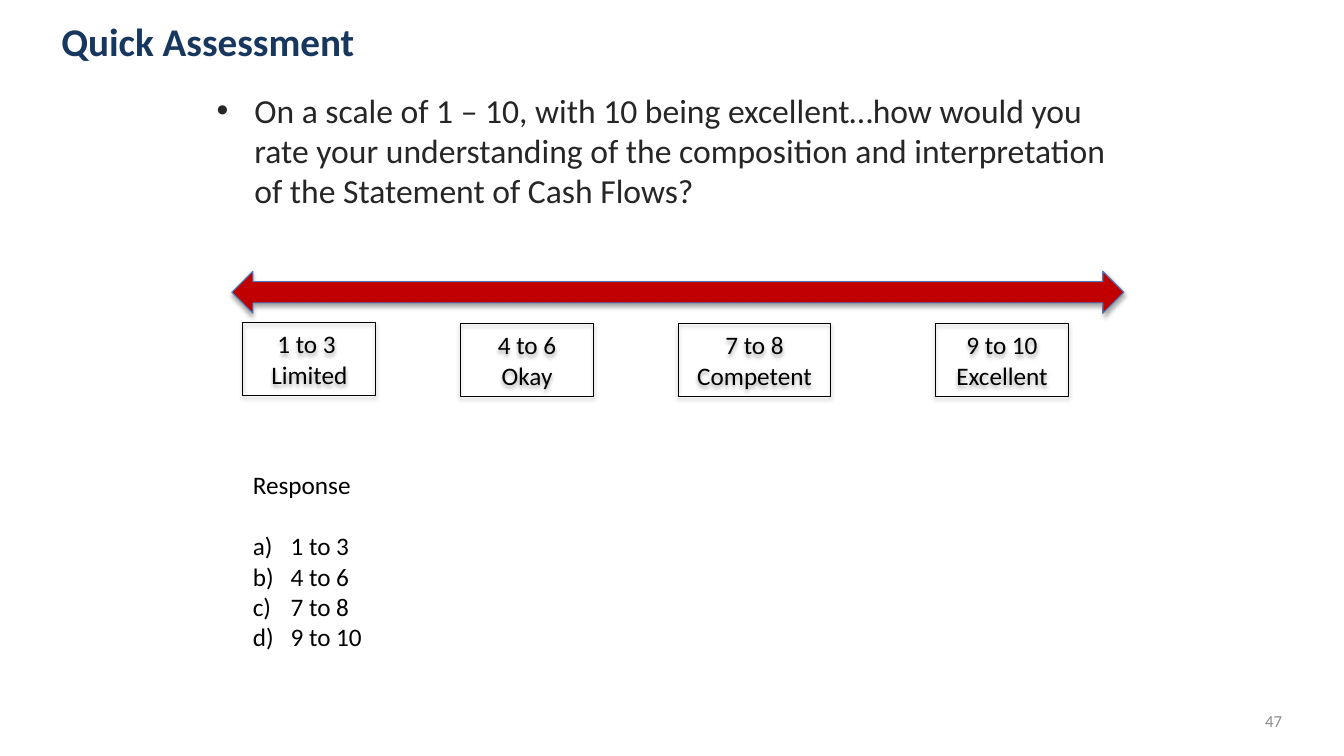
"""Build the Quick Assessment slide with its rating scale and answer list."""
from dataclasses import dataclass

from lxml.etree import SubElement as Sub
from pptx import Presentation
from pptx.dml.color import RGBColor
from pptx.enum.shapes import MSO_SHAPE as Kind
from pptx.enum.text import MSO_ANCHOR as Anchor, PP_ALIGN as Align
from pptx.oxml.ns import qn
from pptx.shapes.autoshape import Shape
from pptx.slide import Slide
from pptx.text.text import _Paragraph as Para
from pptx.util import Pt

NAVY = RGBColor(0x17, 0x37, 0x5E)
DARK = RGBColor(0x26, 0x26, 0x26)
GRAY = RGBColor(0x8C, 0x8C, 0x8C)
RED = RGBColor(0xC0, 0x00, 0x00)
BLUE = RGBColor(0x4B, 0x7E, 0xBC)
BLACK = RGBColor(0x00, 0x00, 0x00)
INDENT = 27


@dataclass
class Box:
    left: float
    top: float
    width: float
    height: float

    def frame(self) -> list[Pt]:
        return [Pt(n) for n in (self.left, self.top, self.width, self.height)]


@dataclass
class Style:
    size: float
    color: RGBColor
    bold: bool = False
    align: Align = Align.LEFT
    anchor: Anchor = Anchor.TOP


@dataclass
class Label:
    text: str
    box: Box


TITLE = Style(28, NAVY, bold=True, anchor=Anchor.MIDDLE)
BODY = Style(24, DARK)
PAGE = Style(12, GRAY, align=Align.RIGHT, anchor=Anchor.MIDDLE)
RATING = Style(18, BLACK, align=Align.CENTER, anchor=Anchor.MIDDLE)
ANSWER = Style(18, BLACK)

LABELS = [
    Label("1 to 3 \nLimited", Box(173.5, 230.4, 95, 51.8)),
    Label("4 to 6\nOkay", Box(329, 231.1, 95, 51.8)),
    Label("7 to 8\nCompetent", Box(484.6, 231.1, 108.7, 51.8)),
    Label("9 to 10 Excellent", Box(668.2, 231.1, 95, 51.8)),
]


def write(shape: Shape, text: str, style: Style) -> None:
    frame = shape.text_frame
    frame.word_wrap = True
    frame.vertical_anchor = style.anchor
    frame.text = text
    for para in frame.paragraphs:
        para.alignment = style.align
        for run in para.runs:
            run.font.name = "Calibri"
            run.font.size = Pt(style.size)
            run.font.bold = style.bold
            run.font.color.rgb = style.color


def add_text(slide: Slide, box: Box, text: str, style: Style) -> Shape:
    shape = slide.shapes.add_textbox(*box.frame())
    write(shape, text, style)
    return shape


def add_mark(para: Para, tag: str, **attrs: str) -> None:
    props = para._p.get_or_add_pPr()
    props.set("marL", str(Pt(INDENT)))
    props.set("indent", str(-Pt(INDENT)))
    if tag == "a:buChar":
        Sub(props, qn("a:buFont"), typeface="Arial")
    Sub(props, qn(tag), **attrs)


def add_shade(shape: Shape) -> None:
    shape.shadow.inherit = False
    effects = shape._element.spPr.find(qn("a:effectLst"))
    shade = Sub(effects, qn("a:outerShdw"), blurRad=str(Pt(3.1)),
                dist=str(Pt(1.8)), dir="5400000", rotWithShape="0")
    color = Sub(shade, qn("a:srgbClr"), val=str(BLACK))
    Sub(color, qn("a:alpha"), val="35000")


def add_shape(slide: Slide, kind: Kind, box: Box, line: RGBColor) -> Shape:
    shape = slide.shapes.add_shape(kind, *box.frame())
    shape.fill.background()
    shape.line.color.rgb = line
    shape.line.width = Pt(0.75)
    add_shade(shape)
    return shape


def main() -> None:
    deck = Presentation()
    deck.slide_width, deck.slide_height = Pt(960), Pt(540)
    slide = deck.slides.add_slide(deck.slide_layouts[6])

    body = add_text(
        slide, Box(147.6, 60.5, 665.3, 260),
        "On a scale of 1 – 10, with 10 being excellent…how would you rate "
        "your understanding of the composition and interpretation of the "
        "Statement of Cash Flows?", BODY)
    add_mark(body.text_frame.paragraphs[0], "a:buChar", char="•")
    add_text(slide, Box(36.7, 3.6, 787.7, 51.1), "Quick Assessment", TITLE)
    add_text(slide, Box(707, 500.4, 216, 28.8), "47", PAGE)

    arrow = add_shape(slide, Kind.LEFT_RIGHT_ARROW,
                      Box(165.6, 193.7, 637.2, 30.2), BLUE)
    arrow.fill.solid()
    arrow.fill.fore_color.rgb = RED
    for label in LABELS:
        shape = add_shape(slide, Kind.RECTANGLE, label.box, BLACK)
        write(shape, label.text, RATING)

    reply = add_text(slide, Box(173.5, 331.9, 409, 138.2),
                     "Response\n1 to 3\n4 to 6\n7 to 8\n9 to 10", ANSWER)
    items = reply.text_frame.paragraphs[1:]
    items[0].space_before = Pt(22)
    for item in items:
        add_mark(item, "a:buAutoNum", type="alphaLcParenR")

    deck.save("out.pptx")


if __name__ == "__main__":
    main()
